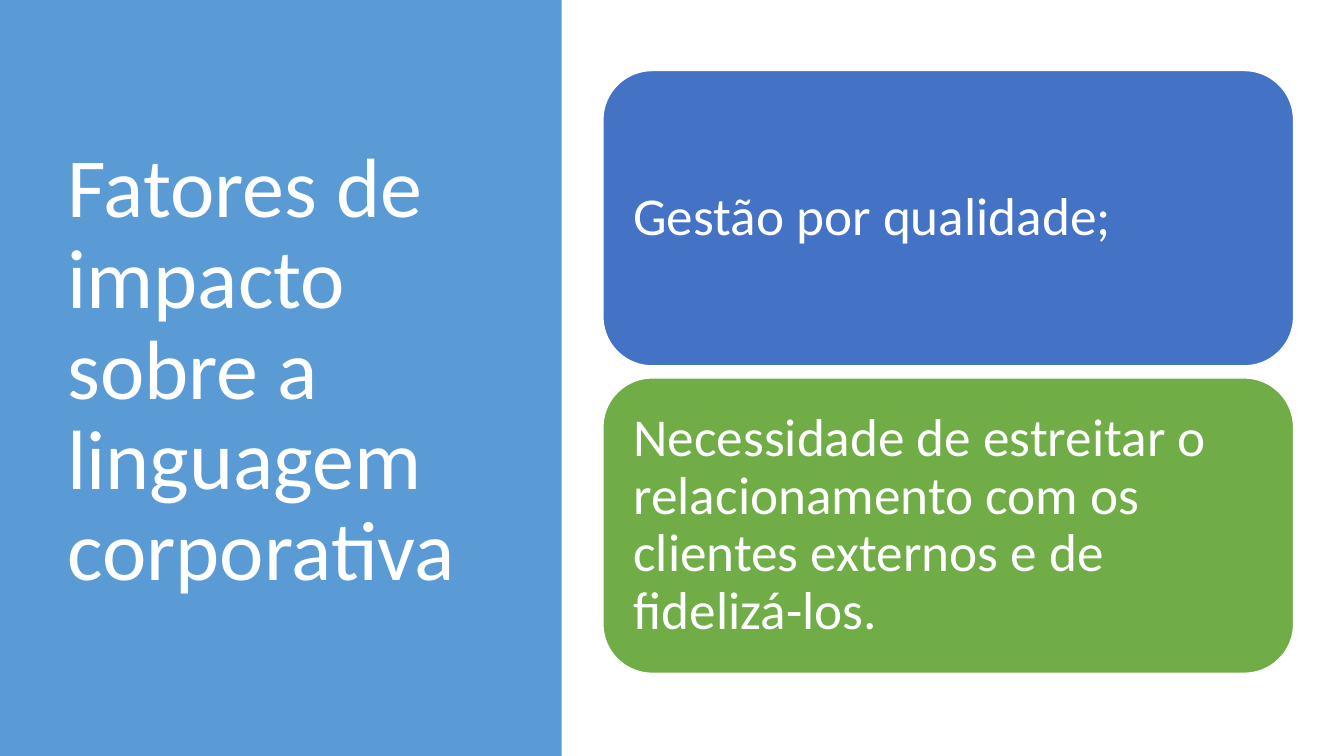
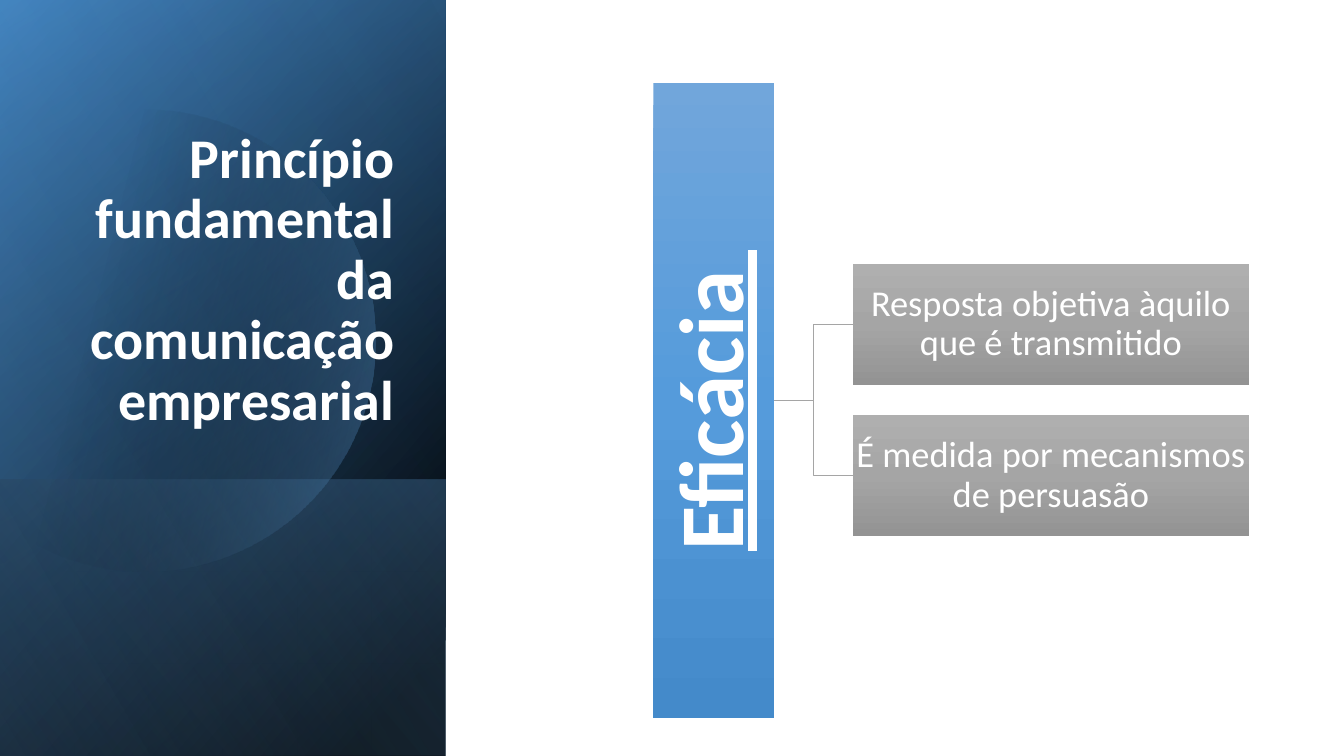
from math import acos, cos, sin

from lxml.etree import SubElement
from pptx import Presentation
from pptx.dml.color import RGBColor
from pptx.enum.shapes import MSO_CONNECTOR, MSO_SHAPE
from pptx.enum.text import MSO_ANCHOR, PP_ALIGN
from pptx.oxml.ns import qn
from pptx.util import Inches, Pt

FONT = "Calibri"
HEIGHT = 7.5
COLORS = {
    "white": "FFFFFF", "black": "000000", "sky": "5B9BD5",
    "blue": "4472C4", "green": "70AD47", "deep": "2E75B6",
    "pale": "9DC3E6", "gray": "A5A5A5",
    "bar_top": "71A6DB", "bar_mid": "559BDB", "bar_end": "448ACA",
    "box_top": "AFAFAF", "box_end": "939393",
}
BAR = [(0, "bar_top", 100), (50, "bar_mid", 100), (100, "bar_end", 100)]
BOX = [(0, "box_top", 100), (50, "gray", 100), (100, "box_end", 100)]


def color(name):
    return RGBColor.from_string(COLORS[name])


def shade(shape, stops, angle):
    shape.fill.gradient()
    grad = shape._element.spPr.find(qn("a:gradFill"))
    items = grad.find(qn("a:gsLst"))
    for old in list(items):
        items.remove(old)
    for place, name, alpha in stops:
        stop = SubElement(items, qn("a:gs"), pos=str(place * 1000))
        tint = SubElement(stop, qn("a:srgbClr"), val=COLORS[name])
        if alpha < 100:
            SubElement(tint, qn("a:alpha"), val=str(alpha * 1000))
    grad.find(qn("a:lin")).set("ang", str(angle * 60000))


def block(slide, kind, left, top, width, height):
    shape = slide.shapes.add_shape(
        kind, Inches(left), Inches(top), Inches(width), Inches(height))
    shape.shadow.inherit = False
    shape.line.fill.background()
    return shape


def write(shape, text, size, align=PP_ALIGN.LEFT, anchor=MSO_ANCHOR.MIDDLE,
          inset=None, bold=False, under=False):
    frame = shape.text_frame
    frame.word_wrap = True
    frame.vertical_anchor = anchor
    if inset is not None:
        frame.margin_left = frame.margin_right = Inches(inset)
        frame.margin_top = frame.margin_bottom = Inches(inset)
    para = frame.paragraphs[0]
    para.alignment = align
    para.line_spacing = 0.9
    run = para.add_run()
    run.text = text
    font = run.font
    font.name, font.size = FONT, Pt(size)
    font.bold, font.underline = bold, under
    font.color.rgb = color("white")


def title(slide, text, left, top, width, height, size, **style):
    box = slide.shapes.add_textbox(
        Inches(left), Inches(top), Inches(width), Inches(height))
    write(box, text, size, **style)


def card(slide, text, top, fill):
    shape = block(slide, MSO_SHAPE.ROUNDED_RECTANGLE, 5.98, top, 6.85, 2.93)
    shape.fill.solid()
    shape.fill.fore_color.rgb = color(fill)
    shape.line.color.rgb = color("white")
    shape.line.width = Pt(1)
    write(shape, text, 38, inset=0.16)


def panel(slide, top, stops, angle):
    wide, tall = 4.42, HEIGHT - top
    shape = block(slide, MSO_SHAPE.RECTANGLE, (wide - tall) / 2,
                  top + (tall - wide) / 2, tall, wide)
    shape.rotation = 90
    shape._element.spPr.find(qn("a:xfrm")).set("flipH", "1")
    shade(shape, stops, angle)


def disc(slide, mid_x, mid_y, radius, stops, angle):
    edge = acos(-mid_x / radius)
    steps = 90
    turns = [edge * (2 * i / steps - 1) for i in range(steps + 1)]
    points = [(Inches(mid_x + radius * cos(t)), Inches(mid_y + radius * sin(t)))
              for t in turns]
    path = slide.shapes.build_freeform(*points[0])
    path.add_line_segments(points[1:], close=True)
    shape = path.convert_to_shape()
    shape.shadow.inherit = False
    shape.line.fill.background()
    shade(shape, stops, angle)


def link(slide, start, end):
    line = slide.shapes.add_connector(
        MSO_CONNECTOR.ELBOW, start.left + start.width,
        start.top + start.height // 2, end.left, end.top + end.height // 2)
    line.begin_connect(start, 3)
    line.end_connect(end, 1)
    line.line.color.rgb = color("gray")
    line.line.width = Pt(0.5)
    SubElement(line._element.spPr, qn("a:effectLst"))


def factors(slide):
    side = block(slide, MSO_SHAPE.RECTANGLE, 0, 0, 5.57, HEIGHT)
    side.fill.solid()
    side.fill.fore_color.rgb = color("sky")
    title(slide, "Fatores de impacto sobre a linguagem corporativa",
          0.57, 0.68, 4.16, 6.02, 60)
    cards = [
        ("Gestão por qualidade;", "blue"),
        ("Necessidade de estreitar o relacionamento com os clientes "
         "externos e de fidelizá-los.", "green"),
    ]
    for i, (text, fill) in enumerate(cards):
        card(slide, text, 0.7 + i * 3.05, fill)


def basis(slide):
    panel(slide, 0, [(8, "black", 100), (100, "deep", 100)], 50)
    panel(slide, 0, [(0, "black", 0), (99, "sky", 46)], 30)
    panel(slide, 4.76, [(2, "sky", 29), (100, "black", 30)], 130)
    disc(slide, 1.43, 3.38, 2.29, [(29, "black", 0), (100, "sky", 43)], 14)
    panel(slide, 0, [(0, "black", 0), (99, "pale", 11)], 120)
    title(slide, "Princípio fundamental da comunicação empresarial",
          0.51, 0.64, 3.5, 3.7, 40, align=PP_ALIGN.RIGHT,
          anchor=MSO_ANCHOR.BOTTOM, bold=True)

    bar = block(slide, MSO_SHAPE.RECTANGLE, 6.48, 0.82, 1.2, 6.3)
    shade(bar, BAR, 90)
    write(bar, "Eficácia ", 65, PP_ALIGN.CENTER, inset=0.05,
          bold=True, under=True)
    bar.text_frame._txBody.bodyPr.set("vert", "vert270")

    texts = ["Resposta objetiva àquilo que é transmitido",
             "É medida por mecanismos de persuasão"]
    for i, text in enumerate(texts):
        box = block(slide, MSO_SHAPE.RECTANGLE, 8.46, 2.62 + i * 1.5, 3.93, 1.2)
        shade(box, BOX, 90)
        write(box, text, 26, PP_ALIGN.CENTER, inset=0.02)
        link(slide, bar, box)


def main():
    deck = Presentation()
    deck.slide_width, deck.slide_height = Inches(13.33), Inches(HEIGHT)
    for build in (factors, basis):
        build(deck.slides.add_slide(deck.slide_layouts[6]))
    deck.save("out.pptx")


if __name__ == "__main__":
    main()
